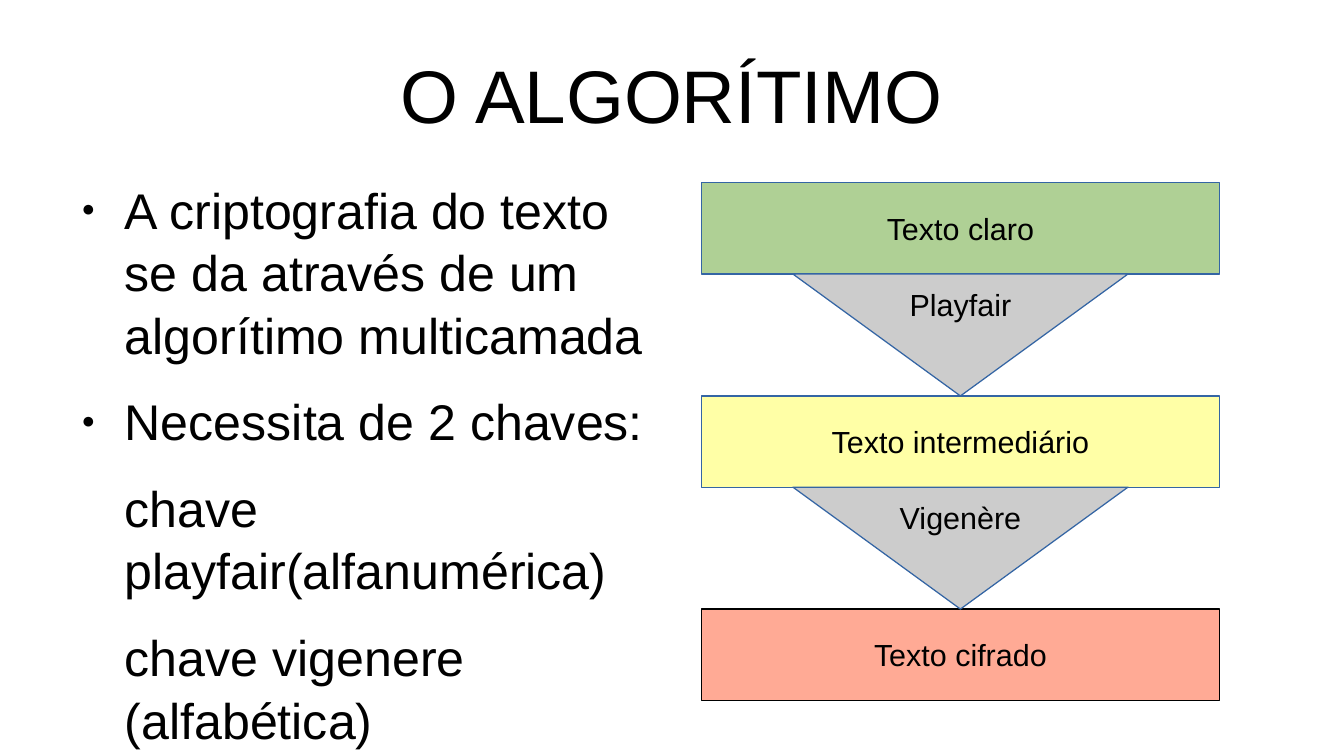
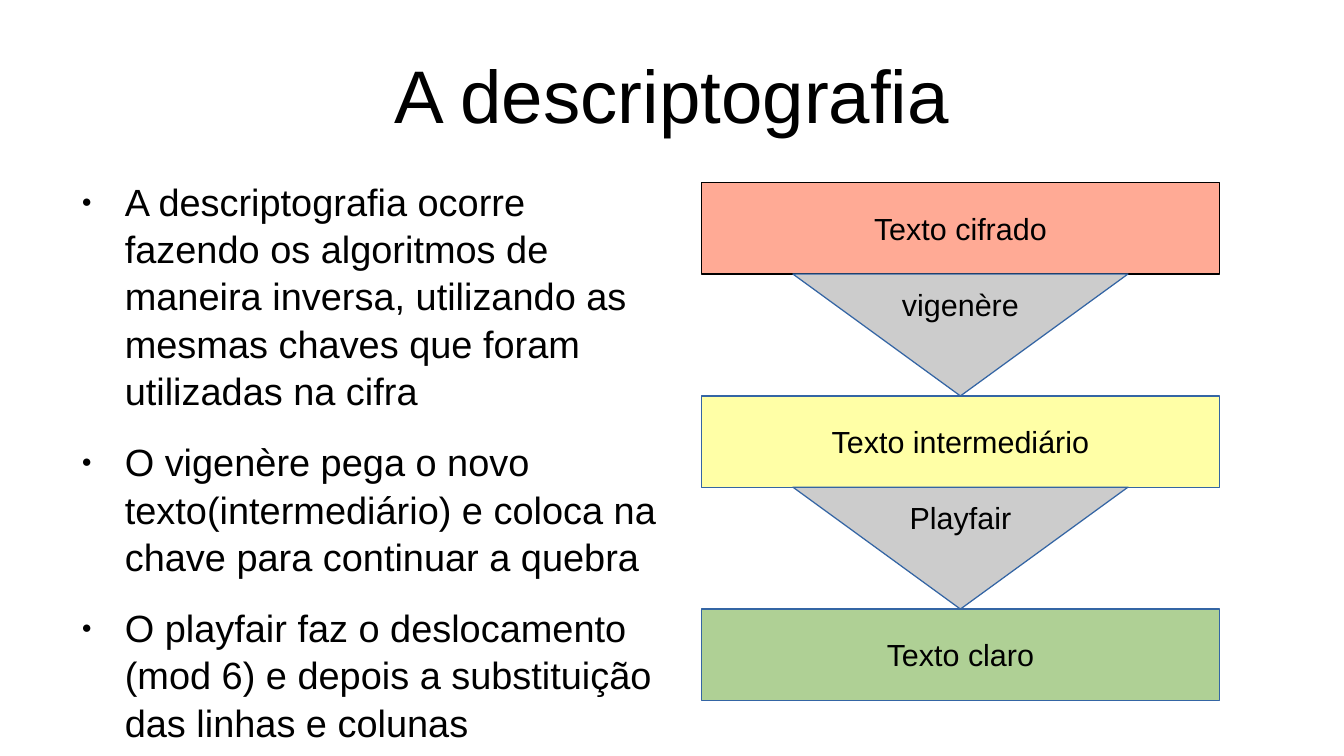
from dataclasses import dataclass

from lxml import etree
from pptx import Presentation
from pptx.dml.color import RGBColor
from pptx.enum.shapes import MSO_SHAPE
from pptx.enum.text import MSO_ANCHOR, MSO_AUTO_SIZE, PP_ALIGN
from pptx.oxml.ns import qn
from pptx.util import Cm, Pt

PROCESS = MSO_SHAPE.FLOWCHART_PROCESS
MERGE = MSO_SHAPE.FLOWCHART_MERGE
CENTER = PP_ALIGN.CENTER
MIDDLE = MSO_ANCHOR.MIDDLE
TOP = MSO_ANCHOR.TOP
NO_AUTOFIT = MSO_AUTO_SIZE.NONE


@dataclass(frozen=True)
class Theme:
    font: str = "Arial"
    ink: str = "000000"
    outline: str = "3465A4"
    plain: str = "AFD095"
    intermediate: str = "FFFFA6"
    cipher: str = "FFAA95"
    step: str = "CCCCCC"
    title_size: float = 44
    diagram_size: float = 18
    paragraph_gap: float = 14.2
    line_spacing: float = 1.04


@dataclass(frozen=True)
class Box:
    left: float
    top: float
    width: float
    height: float


@dataclass(frozen=True)
class Stage:
    label: str
    fill: str
    outline: str


@dataclass(frozen=True)
class Point:
    text: str
    bulleted: bool = True


@dataclass(frozen=True)
class FlowSlide:
    title: str
    points: list[Point]
    point_size: float
    stages: list[Stage]
    steps: list[str]


THEME = Theme()
TITLE_BOX = Box(1.4, 0.63, 25.2, 2.64)
POINTS_BOX = Box(1.4, 3.68, 12.3, 9.14)
FIRST_STAGE = Box(14.61, 3.81, 10.8, 1.9)
STEP_WIDTH = 6.98
STEP_HEIGHT = 2.54
TEXT_INDENT = 1.2
BULLET_HANG = 0.9

PLAIN = Stage("Texto claro", THEME.plain, THEME.outline)
INTERMEDIATE = Stage("Texto intermediário", THEME.intermediate, THEME.outline)
CIPHER = Stage("Texto cifrado", THEME.cipher, THEME.ink)

SLIDES = [
    FlowSlide(
        "O ALGORÍTIMO",
        [
            Point("A criptografia do texto se da através de um algorítimo multicamada"),
            Point("Necessita de 2 chaves:"),
            Point("chave playfair(alfanumérica)", bulleted=False),
            Point("chave vigenere (alfabética)", bulleted=False),
        ],
        29.6,
        [PLAIN, INTERMEDIATE, CIPHER],
        ["Playfair", "Vigenère"],
    ),
    FlowSlide(
        "A descriptografia",
        [
            Point(
                "A descriptografia ocorre fazendo os algoritmos de maneira inversa, "
                "utilizando as mesmas chaves que foram utilizadas na cifra"
            ),
            Point(
                "O vigenère pega o novo texto(intermediário) e coloca na chave "
                "para continuar a quebra"
            ),
            Point(
                "O playfair faz o deslocamento (mod 6) e depois a substituição "
                "das linhas e colunas"
            ),
        ],
        22.4,
        [CIPHER, INTERMEDIATE, PLAIN],
        ["vigenère", "Playfair"],
    ),
]


def style_font(paragraph, size: float) -> None:
    for run in paragraph.runs:
        run.font.name = THEME.font
        run.font.size = Pt(size)
        run.font.color.rgb = RGBColor.from_string(THEME.ink)


def place(shape, box: Box) -> None:
    shape.left, shape.top = Cm(box.left), Cm(box.top)
    shape.width, shape.height = Cm(box.width), Cm(box.height)


def prepare_placeholder(placeholder, box: Box, anchor) -> None:
    place(placeholder, box)
    frame = placeholder.text_frame
    frame.margin_left = frame.margin_right = 0
    frame.margin_top = frame.margin_bottom = 0
    frame.word_wrap = True
    frame.auto_size = NO_AUTOFIT
    frame.vertical_anchor = anchor


def set_bullet(paragraph, bulleted: bool) -> None:
    properties = paragraph._p.get_or_add_pPr()
    properties.set("marL", str(Cm(TEXT_INDENT)))
    properties.set("indent", str(-Cm(BULLET_HANG) if bulleted else 0))
    if not bulleted:
        etree.SubElement(properties, qn("a:buNone"))
        return
    color = etree.SubElement(properties, qn("a:buClr"))
    etree.SubElement(color, qn("a:srgbClr"), val=THEME.ink)
    etree.SubElement(properties, qn("a:buSzPct"), val="45000")
    etree.SubElement(properties, qn("a:buFont"), typeface=THEME.font)
    etree.SubElement(properties, qn("a:buChar"), char="●")


def write_title(slide, text: str) -> None:
    title = slide.shapes.title
    prepare_placeholder(title, TITLE_BOX, MIDDLE)
    title.text_frame.text = text
    heading = title.text_frame.paragraphs[0]
    heading.alignment = CENTER
    style_font(heading, THEME.title_size)


def write_points(slide, points: list[Point], size: float) -> None:
    body = slide.placeholders[1]
    prepare_placeholder(body, POINTS_BOX, TOP)
    frame = body.text_frame
    frame.text = "\n".join(point.text for point in points)
    for index, (paragraph, point) in enumerate(zip(frame.paragraphs, points)):
        set_bullet(paragraph, point.bulleted)
        paragraph.space_before = Pt(THEME.paragraph_gap if index else 0)
        paragraph.line_spacing = THEME.line_spacing
        style_font(paragraph, size)


def draw_node(slide, preset, box: Box, node: Stage) -> None:
    shape = slide.shapes.add_shape(
        preset, Cm(box.left), Cm(box.top), Cm(box.width), Cm(box.height)
    )
    shape.shadow.inherit = False
    shape.fill.solid()
    shape.fill.fore_color.rgb = RGBColor.from_string(node.fill)
    shape.line.color.rgb = RGBColor.from_string(node.outline)
    shape.line.width = 0
    frame = shape.text_frame
    frame.word_wrap = True
    frame.vertical_anchor = MIDDLE
    frame.text = node.label
    label = frame.paragraphs[0]
    label.alignment = CENTER
    style_font(label, THEME.diagram_size)


def draw_flow(slide, stages: list[Stage], steps: list[str]) -> None:
    first = FIRST_STAGE
    pitch = first.height + STEP_HEIGHT
    step_left = first.left + (first.width - STEP_WIDTH) / 2
    for row, stage in enumerate(stages):
        stage_box = Box(first.left, first.top + row * pitch, first.width, first.height)
        draw_node(slide, PROCESS, stage_box, stage)
    for row, label in enumerate(steps):
        step_top = first.top + first.height + row * pitch
        step_box = Box(step_left, step_top, STEP_WIDTH, STEP_HEIGHT)
        draw_node(slide, MERGE, step_box, Stage(label, THEME.step, THEME.outline))


def main() -> None:
    deck = Presentation()
    deck.slide_width, deck.slide_height = Cm(28), Cm(15.75)
    for content in SLIDES:
        slide = deck.slides.add_slide(deck.slide_layouts[1])
        write_title(slide, content.title)
        write_points(slide, content.points, content.point_size)
        draw_flow(slide, content.stages, content.steps)
    deck.save("out.pptx")


if __name__ == "__main__":
    main()
